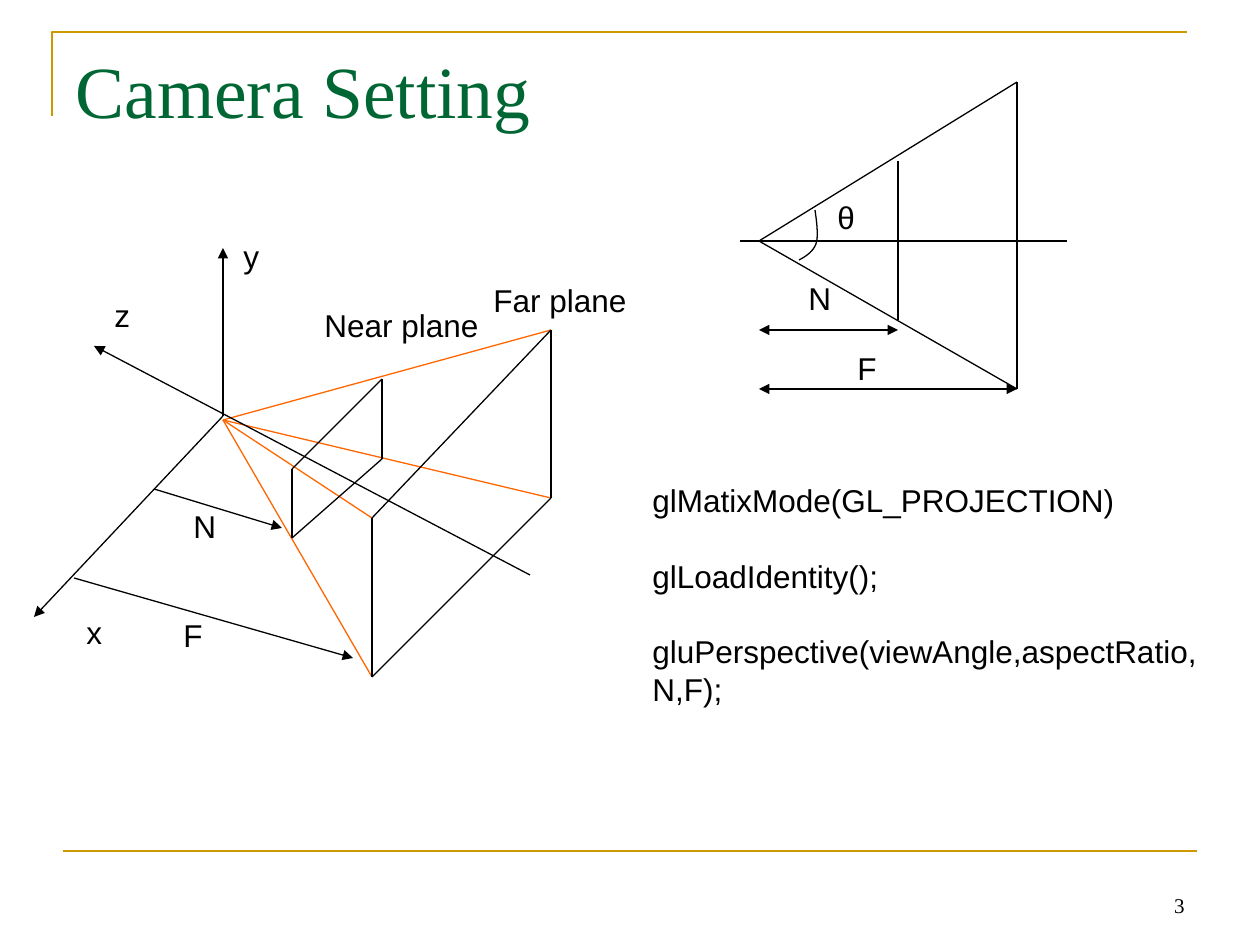
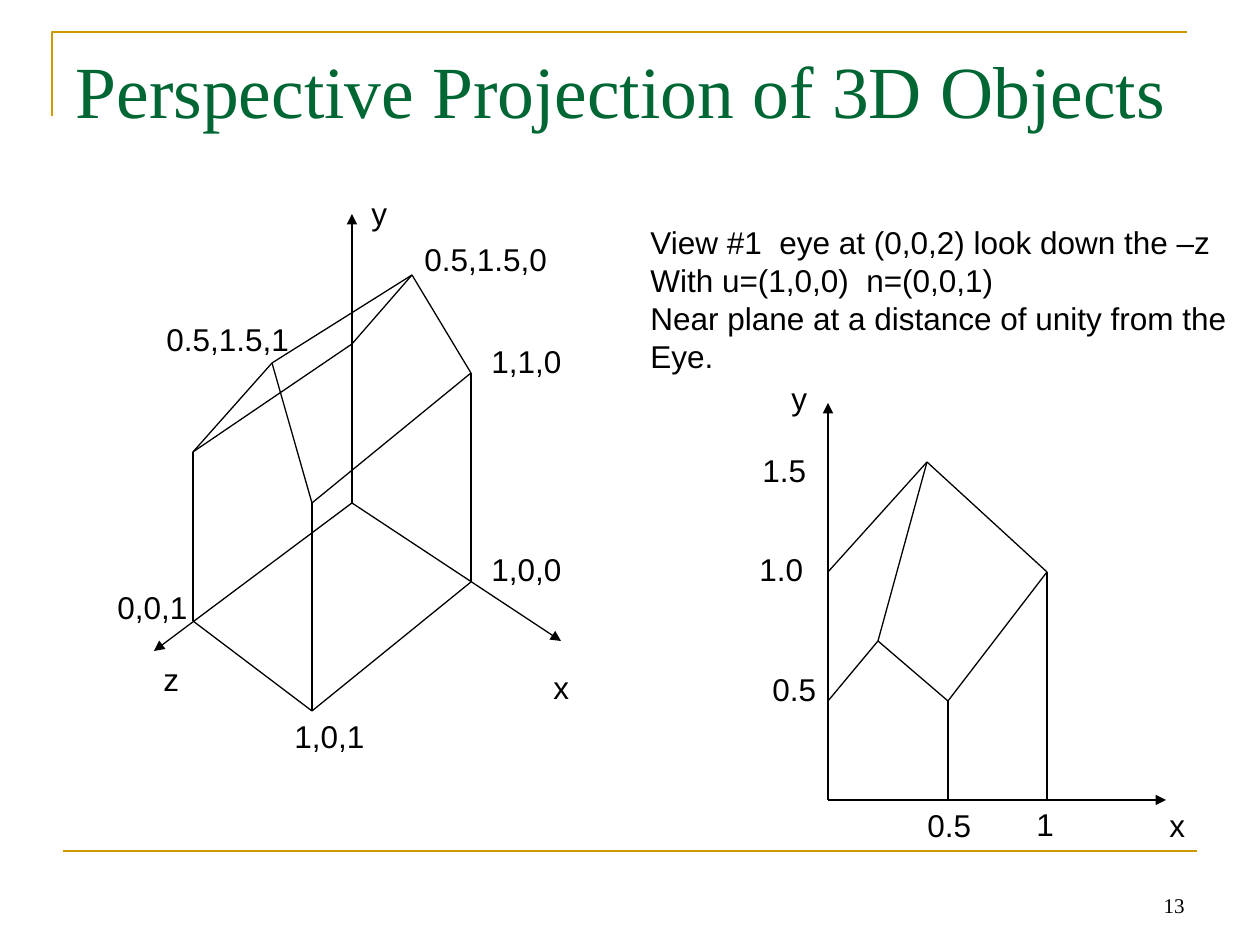
from itertools import pairwise
from lxml.etree import SubElement
from pptx import Presentation
from pptx.dml.color import RGBColor
from pptx.enum.shapes import MSO_CONNECTOR
from pptx.enum.text import MSO_ANCHOR, MSO_AUTO_SIZE, PP_ALIGN
from pptx.oxml.ns import qn
from pptx.util import Pt

PX = 914400 / 126
BLACK, GOLD, GREEN, ORANGE = "000000", "CC9900", "006633", "FF6600"


def draw_line(slide, start, end, color=BLACK, weight=0.75, arrows=()):
    ends = [round(value * PX) for value in (*start, *end)]
    line = slide.shapes.add_connector(MSO_CONNECTOR.STRAIGHT, *ends)
    line.line.color.rgb = RGBColor.from_string(color)
    line.line.width = Pt(weight)
    for arrow in arrows:
        SubElement(line.line._get_or_add_ln(), qn(f"a:{arrow}"), type="triangle")
    SubElement(line._element.spPr, qn("a:effectLst"))
    return line


def write(slide, text, left, top, width, height=50, size=18, font="Arial", gap=0):
    box = slide.shapes.add_textbox(*[round(v * PX) for v in (left, top, width, height)])
    frame = box.text_frame
    frame.word_wrap = False
    frame.auto_size = MSO_AUTO_SIZE.SHAPE_TO_FIT_TEXT
    frame.text = text
    for index, paragraph in enumerate(frame.paragraphs):
        paragraph.space_before = Pt(gap if 0 < index < 3 else 0)
        paragraph.font.size = Pt(size)
        paragraph.font.name = font
        paragraph.font.color.rgb = RGBColor.from_string(BLACK)
    return frame


prs = Presentation()
prs.slide_width, prs.slide_height = round(1260 * PX), round(945 * PX)
layout = prs.slide_layouts[5]

slides = []
for heading, page in (("Camera Setting", "3"), ("Perspective Projection of 3D Objects", "13")):
    slide = prs.slides.add_slide(layout)
    title = slide.shapes.title
    place = {"left": 63, "top": 38, "width": 1134, "height": 158}
    for side, length in place.items():
        setattr(title, side, round(length * PX))
    title.text_frame.text = heading
    title.text_frame.auto_size = MSO_AUTO_SIZE.NONE
    title.text_frame.vertical_anchor = MSO_ANCHOR.TOP
    title.text_frame.margin_top = round(7 * PX)
    title_line = title.text_frame.paragraphs[0]
    title_line.alignment = PP_ALIGN.LEFT
    for attribute, value in {"size": Pt(42), "name": "Times New Roman"}.items():
        setattr(title_line.font, attribute, value)
    title_line.font.color.rgb = RGBColor.from_string(GREEN)
    page_number = write(slide, page, 903, 861, 294, 63, 12, "Times New Roman")
    page_number.word_wrap = True
    page_number.auto_size = MSO_AUTO_SIZE.NONE
    page_number.vertical_anchor = MSO_ANCHOR.BOTTOM
    page_number.paragraphs[0].alignment = PP_ALIGN.RIGHT
    slides.append(slide)
camera, house = slides

corner_path = camera.shapes.build_freeform(52, 116, scale=PX)
corner_path.add_line_segments([(52, 32), (1187, 32)], close=False)
corner = corner_path.convert_to_shape()
corner.line.color.rgb = RGBColor.from_string(GOLD)
corner.line.width = Pt(1.5)
footer_rule = draw_line(camera, (63, 851), (1197, 851), GOLD, 1.5)

arc_path = camera.shapes.build_freeform(799, 260, scale=PX)
arc_path.add_line_segments(
    [(805, 257), (813, 252), (816, 244), (819, 236), (816, 217), (815, 210)], close=False)
angle_arc = arc_path.convert_to_shape()
angle_arc.line.color.rgb = RGBColor.from_string(BLACK)
angle_arc.line.width = Pt(0.75)
outline = angle_arc._element.xpath(".//a:path")[0]
segments = outline.findall(qn("a:lnTo"))
for first in (0, 3):
    curve = SubElement(outline, qn("a:cubicBezTo"))
    for segment in segments[first:first + 3]:
        curve.append(segment[0])
        outline.remove(segment)

for outline_shape in (corner, angle_arc):
    outline_shape.fill.background()
    outline_shape.shadow.inherit = False
for shape_id, band in enumerate((corner, footer_rule), start=101):
    band._element.xpath(".//p:cNvPr")[0].set("id", str(shape_id))
    layout.shapes.element.append(band._element)

eye = (223, 420)
axes_origin = (223, 416)
far_plane = [(551, 330), (372, 518), (372, 677), (551, 498)]
near_plane = [(382, 379), (292, 469), (292, 538), (382, 459)]
for corner_point in far_plane:
    draw_line(camera, eye, corner_point, ORANGE)
for plane in (far_plane, near_plane):
    for start, end in pairwise(plane + plane[:1]):
        draw_line(camera, start, end)
for start, end in (
    (axes_origin, (223, 248)),
    (axes_origin, (34, 617)),
    ((530, 575), (94, 346)),
    ((154, 489), (282, 528)),
    ((74, 578), (353, 658)),
):
    draw_line(camera, start, end, arrows=["tailEnd"])

apex, far_top, far_bottom = (759, 241), (1017, 82), (1017, 389)
for start, end in (
    ((740, 241), (1067, 241)),
    ((898, 161), (898, 320)),
    (far_top, far_bottom),
    (far_top, apex),
    (apex, far_bottom),
):
    draw_line(camera, start, end)
for depth_end in ((898, 330), far_bottom):
    draw_line(camera, (759, depth_end[1]), depth_end, arrows=["headEnd", "tailEnd"])

for text, left, top, width in (
    ("y", 231, 231, 40), ("x", 74, 607, 40), ("z", 102, 290, 40),
    ("N", 181, 501, 48), ("F", 171, 610, 44),
    ("Near plane", 312, 300, 179), ("Far plane", 481, 275, 158),
    ("θ", 825, 192, 43), ("N", 796, 273, 48), ("F", 845, 343, 44),
):
    write(camera, text, left, top, width)
write(camera, "glMatixMode(GL_PROJECTION)\nglLoadIdentity();\n"
      "gluPerspective(viewAngle,aspectRatio,\nN,F);", 640, 475, 570, 277, gap=21.5)

house_origin = (352, 503)
for axis_end in ((352, 214), (154, 651), (561, 641)):
    draw_line(house, house_origin, axis_end, arrows=["tailEnd"])
front_left_base, front_right_base, back_right_base = (193, 621), (312, 711), (471, 582)
front_left_eave, front_right_eave = (193, 452), (312, 503)
back_left_eave, back_right_eave = (352, 344), (471, 373)
front_ridge, back_ridge = (272, 363), (412, 275)
for edges in (
    [front_left_eave, front_left_base, front_right_base, back_right_base,
     back_right_eave, back_ridge, back_left_eave, front_left_eave,
     front_ridge, front_right_eave, front_right_base],
    [front_ridge, back_ridge],
    [front_right_eave, back_right_eave],
):
    for start, end in pairwise(edges):
        draw_line(house, start, end)

view_origin = (828, 800)
for axis_end in ((828, 403), (1166, 800)):
    draw_line(house, view_origin, axis_end, arrows=["tailEnd"])
near_eave, far_eave = (948, 701), (1047, 572)
near_peak, far_peak = (878, 641), (927, 462)
for edges in (
    [(948, 800), near_eave, far_eave, (1047, 800)],
    [(828, 701), near_peak, near_eave],
    [(828, 572), far_peak, far_eave],
    [near_peak, far_peak],
):
    for start, end in pairwise(edges):
        draw_line(house, start, end)

for text, left, top, width in (
    ("x", 541, 662, 40), ("y", 359, 188, 40), ("z", 151, 654, 40),
    ("1,1,0", 479, 336, 95), ("0.5,1.5,0", 412, 234, 150),
    ("0.5,1.5,1", 154, 314, 150), ("0,0,1", 105, 582, 95),
    ("1,0,1", 282, 711, 95), ("1,0,0", 479, 544, 95),
    ("0.5", 915, 800, 69), ("1", 1024, 799, 43), ("0.5", 760, 664, 69),
    ("1.0", 747, 544, 69), ("1.5", 750, 445, 69),
    ("x", 1157, 800, 40), ("y", 779, 373, 40),
):
    write(house, text, left, top, width)
write(house, "View #1  eye at (0,0,2) look down the –z\nWith u=(1,0,0)  n=(0,0,1)\n"
      "Near plane at a distance of unity from the\nEye.", 638, 217, 601, 202)

prs.save("out.pptx")
